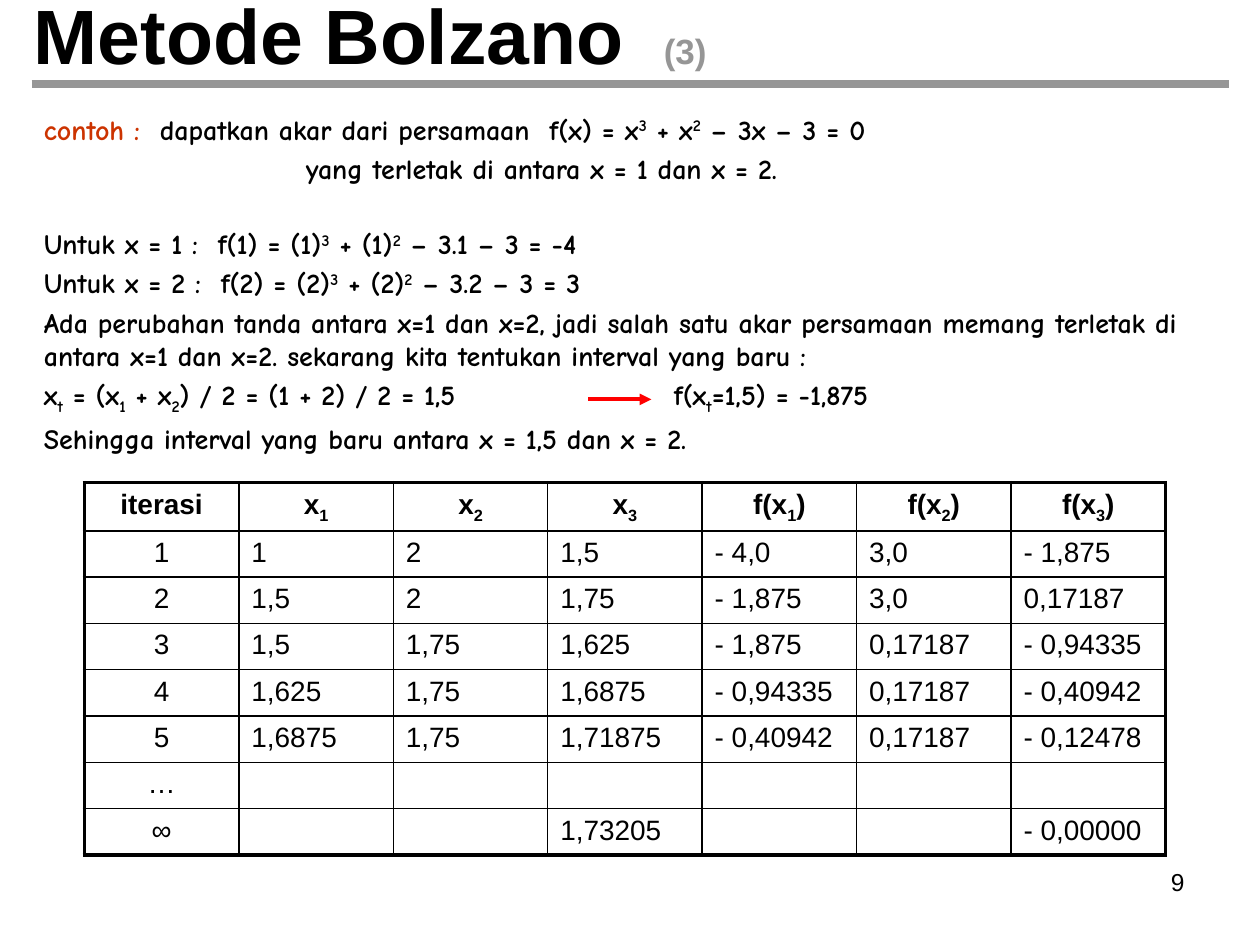
from typing import NamedTuple, Optional

import lxml.etree
import pptx
import pptx.dml.color
import pptx.enum.shapes
import pptx.enum.text
import pptx.oxml.ns
import pptx.util

Inches, Pt = pptx.util.Inches, pptx.util.Pt
ALIGN = pptx.enum.text.PP_ALIGN
qn = pptx.oxml.ns.qn

COLORS = {"text": "000000", "muted": "969696", "accent": "CC3300", "arrow": "FF0000"}
BASELINES = {"^": 30000, "_": -25000}
TAB_STOPS = range(1, 6)  # inches


class Run(NamedTuple):
    text: str
    color: str = "text"
    size: Optional[float] = None
    baseline: int = 0


class Style(NamedTuple):
    font: str
    size: float
    bold: bool = False
    align: ALIGN = ALIGN.LEFT
    space_before: float = 0


class Box(NamedTuple):
    left: float
    top: float
    width: float
    height: float


def rgb(name: str) -> pptx.dml.color.RGBColor:
    return pptx.dml.color.RGBColor.from_string(COLORS[name])


def math_runs(markup: str) -> list[Run]:
    """Split at bars; a piece led by ^ or _ is raised or lowered."""
    return [Run(part[1:], baseline=BASELINES[part[0]]) if part[0] in BASELINES else Run(part)
            for part in markup.split("|")]


def fill_paragraph(p, runs: list[Run], style: Style) -> None:
    p.alignment = style.align
    p.space_before = Pt(style.space_before)
    p.font.name, p.font.size, p.font.bold = style.font, Pt(style.size), style.bold
    p.font.color.rgb = rgb("text")
    for run in runs:
        r = p.add_run()
        r.text = run.text
        if run.color != "text":
            r.font.color.rgb = rgb(run.color)
        if run.size:
            r.font.size = Pt(run.size)
        if run.baseline:
            r.font._element.set("baseline", str(run.baseline))


def set_tab_stops(p) -> None:
    tabs = lxml.etree.Element(qn("a:tabLst"))
    for stop in TAB_STOPS:
        lxml.etree.SubElement(tabs, qn("a:tab"), pos=str(Inches(stop)), algn="l")
    p.font._element.addprevious(tabs)


def add_text(slide, box: Box, paragraphs: list[list[Run]], style: Style,
             anchor=pptx.enum.text.MSO_ANCHOR.TOP) -> None:
    tf = slide.shapes.add_textbox(*map(Inches, box)).text_frame
    tf.word_wrap = True
    tf.vertical_anchor = anchor
    for i, runs in enumerate(paragraphs):
        p = tf.add_paragraph() if i else tf.paragraphs[0]
        fill_paragraph(p, runs, style if i else style._replace(space_before=0))
        if any("\t" in run.text for run in runs):
            set_tab_stops(p)


def add_line(slide, x1: float, x2: float, y: float, color: str, width: float,
             arrow: bool = False) -> None:
    sp = slide.shapes.add_connector(pptx.enum.shapes.MSO_CONNECTOR.STRAIGHT,
                                    Inches(x1), Inches(y), Inches(x2), Inches(y))
    sp.line.color.rgb = rgb(color)
    sp.line.width = Pt(width)
    if arrow:
        lxml.etree.SubElement(sp.line._get_or_add_ln(), qn("a:tailEnd"), type="triangle")
    lxml.etree.SubElement(sp._element.spPr, qn("a:effectLst"))


def set_borders(cell, widths: dict[str, float]) -> None:
    tcPr = cell._tc.get_or_add_tcPr()
    for i, (side, width) in enumerate(widths.items()):
        ln = lxml.etree.Element(qn(f"a:ln{side}"), w=str(Pt(width)))
        fill = lxml.etree.SubElement(ln, qn("a:solidFill"))
        lxml.etree.SubElement(fill, qn("a:srgbClr"), val=COLORS["text"])
        tcPr.insert(i, ln)


def add_iterations(slide, box: Box, rows: list[list[str]]) -> None:
    n_rows, n_cols = len(rows), len(rows[0])
    table = slide.shapes.add_table(n_rows, n_cols, *map(Inches, box)).table
    table.horz_banding = table.first_row = False
    thin, thick = 1, 2.25
    for i, row in enumerate(rows):
        for j, markup in enumerate(row):
            cell = table.cell(i, j)
            cell.fill.background()
            set_borders(cell, {
                "L": thick if j == 0 else thin,
                "R": thick if j == n_cols - 1 else thin,
                "T": thick if i == 0 else thin,
                "B": thick if i == n_rows - 1 else thin,
            })
            if i == 0:  # leave room for the subscripts
                cell.margin_bottom = Inches(0.03)
            p = cell.text_frame.paragraphs[0]
            if markup:
                centred = i == 0 or j == 0
                fill_paragraph(p, math_runs(markup),
                               Style("Arial", 16, bold=i == 0,
                                     align=ALIGN.CENTER if centred else ALIGN.LEFT))
            else:  # keep empty rows as low as the others
                lxml.etree.SubElement(p._p, qn("a:endParaRPr"), sz="1600")


BODY = Style("Comic Neue", 16, bold=True, space_before=3.2)
PROBLEM = [
    [Run("contoh :", "accent"),
     *math_runs("  dapatkan akar dari persamaan  f(x) = x|^3| + x|^2| – 3x – 3 = 0")],
    math_runs("\t \t yang terletak di antara x = 1 dan x = 2."),
]
SOLUTION = [
    "Untuk x = 1 :  f(1) = (1)|^3| + (1)|^2| – 3.1 – 3 = -4",
    "Untuk x = 2 :  f(2) = (2)|^3| + (2)|^2| – 3.2 – 3 = 3",
    "Ada perubahan tanda antara x=1 dan x=2, jadi salah satu akar persamaan memang "
    "terletak di antara x=1 dan x=2. sekarang kita tentukan interval yang baru :",
    "x|_t| = (x|_1| + x|_2|) / 2 = (1 + 2) / 2 = 1,5\t\tf(x|_t|=1,5) = -1,875",
    "Sehingga interval yang baru antara x = 1,5 dan x = 2.",
]
ITERATIONS = [
    ["iterasi", "x|_1", "x|_2", "x|_3", "f(x|_1|)", "f(x|_2|)", "f(x|_3|)"],
    ["1", "1", "2", "1,5", "- 4,0", "3,0", "- 1,875"],
    ["2", "1,5", "2", "1,75", "- 1,875", "3,0", "0,17187"],
    ["3", "1,5", "1,75", "1,625", "- 1,875", "0,17187", "- 0,94335"],
    ["4", "1,625", "1,75", "1,6875", "- 0,94335", "0,17187", "- 0,40942"],
    ["5", "1,6875", "1,75", "1,71875", "- 0,40942", "0,17187", "- 0,12478"],
    ["…", "", "", "", "", "", ""],
    ["∞", "", "", "1,73205", "", "", "- 0,00000"],
]


def main() -> None:
    prs = pptx.Presentation()
    prs.slide_width, prs.slide_height = Inches(10), Inches(7.5)
    s = prs.slides.add_slide(prs.slide_layouts[6])

    # Page number
    add_text(s, Box(7.17, 6.83, 2.33, 0.52), [[Run("9")]],
             Style("Arial", 14, align=ALIGN.RIGHT))

    # Title and rule
    add_text(s, Box(0.17, -0.17, 9, 0.87),
             [[Run("Metode Bolzano\t"), Run("(3)", "muted", 20)]],
             Style("Arial", 44, bold=True), pptx.enum.text.MSO_ANCHOR.MIDDLE)
    add_line(s, 0.25, 9.75, 0.67, "muted", 4.5)

    # Problem and worked solution
    add_text(s, Box(0.25, 0.84, 9.5, 0.75), PROBLEM, BODY)
    add_text(s, Box(0.25, 1.75, 9.5, 2), [math_runs(line) for line in SOLUTION], BODY)
    add_line(s, 4.67, 5.17, 3.17, "arrow", 2.25, arrow=True)

    # Iteration table
    add_iterations(s, Box(0.67, 3.83, 8.58, 2.94), ITERATIONS)

    prs.save("out.pptx")


if __name__ == "__main__":
    main()
